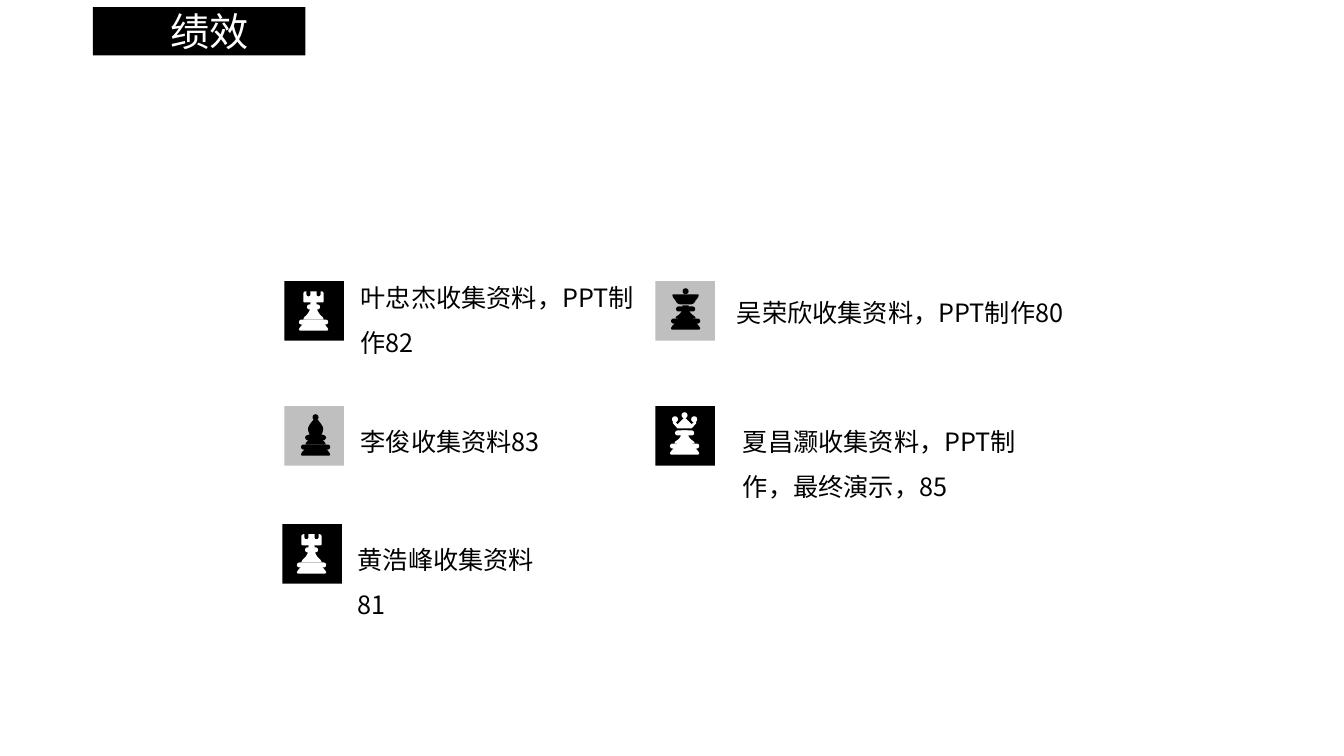
from lxml import etree
from pptx import Presentation, util as u
from pptx.dml.color import RGBColor
from pptx.enum import shapes, text
from pptx.oxml.ns import qn

FONT = "Noto Sans CJK SC"
BLACK, WHITE, GRAY = "000000", "FFFFFF", "BFBFBF"
TILE = 0.59

# Right halves of symmetric outlines, bottom to top, in hundredths of an inch
# from the piece's axis and the top of its foot. Three points make a curve.
BASE = [(0, 11), [(13, 11)], [(16, 11), (14, 8), (11, 5)], [(10, 3)],
        [(8, 2), (7, 1), (5, 1)], [(0, 1)]]
ROUND_BODY = [(0, 0), [(10, 0)], [(10, -4), (3, -4), (3, -15)],
              [(3, -19), (2, -21), (0, -21)]]
FLAT_BODY = [(0, 1), [(10, 0)], [(10, -4), (3, -2), (3, -13)], [(0, -13)]]
TOWER = [(0, -17), [(8, -17)], [(9, -17), (10, -17), (10, -18)], [(10, -26)],
         [(10, -27), (9, -28), (8, -28)], [(7, -28)], [(7, -25)],
         [(7, -25), (7, -23), (5, -23)], [(3, -23), (3, -25), (3, -25)],
         [(3, -28)], [(0, -28)]]
BELT = [(0, -7), [(7, -4)], [(8, -4), (9, -4), (10, -6)],
        [(11, -7), (10, -8), (9, -9)], [(1, -12)], [(0, -12)]]
MITRE = [(0, -8), [(4, -8), (7.5, -10), (7.5, -16)],
         [(7.5, -19), (0, -27), (0, -27)]]
CROWN = [(0, -15), [(7, -15)], [(11.5, -20)], [(11.5, -24)], [(7, -19)], [(0, -26)]]
BOWL = [(0, -14), [(5, -14)], [(7, -14), (8, -15), (9, -16)], [(10, -18)],
        [(13, -21), (14, -24), (12, -24)], [(0, -24)]]

# axis and foot within the tile; outlines; collar (width, top); balls (centre, top)
PIECES = {
    "rook": (0.29, 0.38, [BASE, ROUND_BODY, TOWER], (13, -15), []),
    "bishop": (0.31, 0.38, [BASE, ROUND_BODY, BELT, MITRE], None, [(0, -30)]),
    "queen": (0.29, 0.37, [BASE, FLAT_BODY, CROWN], (19, -13),
              [(0, -31), (-9.5, -27), (9.5, -27)]),
    "king": (0.30, 0.37, [BASE, FLAT_BODY, BOWL], (19, -12), [(0, -30)]),
}

# piece, dark tile, tile left and top, text left, top and width, text
MEMBERS = [
    ("rook", True, 2.82, 2.79, 3.48, 2.6, 2.97, "叶忠杰收集资料，PPT制作82"),
    ("bishop", False, 2.82, 4.03, 3.48, 4.03, 2.97, "李俊收集资料83"),
    ("queen", True, 6.5, 4.03, 7.27, 4.03, 2.97, "夏昌灏收集资料，PPT制作，最终演示，85"),
    ("king", False, 6.5, 2.79, 7.21, 2.75, 3.47, "吴荣欣收集资料，PPT制作80"),
    ("rook", True, 2.8, 5.2, 3.45, 5.2, 2.2, "黄浩峰收集资料81"),
]


def color(code):
    return RGBColor.from_string(code)


def paint(shape, fill):
    shape.shadow.inherit = False
    shape.fill.solid()
    shape.fill.fore_color.rgb = color(fill)
    shape.line.fill.background()


def add_filled(parent, kind, left, top, width, height, fill):
    shape = parent.add_shape(kind, *map(u.Inches, (left, top, width, height)))
    paint(shape, fill)
    return shape


def add_text(page, left, top, width, height, words, size, fill):
    box = page.shapes.add_textbox(*map(u.Inches, (left, top, width, height)))
    frame = box.text_frame
    frame.word_wrap = True
    frame.text = words
    para = frame.paragraphs[0]
    span = para.runs[0]
    span.font.size = u.Pt(size)
    span.font.name = FONT
    span.font.color.rgb = color(fill)
    etree.SubElement(span.font._element, qn("a:ea")).set("typeface", FONT)
    return para


def flatten(half, steps=8):
    """Turn a half outline with cubic curves into points."""
    points = [half[0]]
    for segment in half[1:]:
        if len(segment) == 1:
            points += segment
            continue
        controls = [points[-1], *segment]
        for step in range(1, steps + 1):
            t = step / steps
            weights = ((1 - t) ** 3, 3 * t * (1 - t) ** 2, 3 * t * t * (1 - t), t ** 3)
            points.append(tuple(sum(w * c[axis] for w, c in zip(weights, controls))
                                for axis in (0, 1)))
    return points


def add_outline(parent, axis, foot, half, fill):
    right = flatten(half)
    points = [(u.Inches(x / 100), u.Inches(y / 100))
              for x, y in right + [(-x, y) for x, y in reversed(right)]]
    builder = parent.build_freeform(*points[0], scale=1.0)
    builder.add_line_segments(points[1:], close=True)
    paint(builder.convert_to_shape(u.Inches(axis), u.Inches(foot)), fill)


def add_pill(parent, axis, top, width, fill):
    pill = add_filled(parent, shapes.MSO_SHAPE.ROUNDED_RECTANGLE,
                      axis - width / 2, top, width, 0.05, fill)
    pill.adjustments[0] = 0.5


def add_piece(page, left, top, name, dark):
    """Draw a chess piece on a square tile."""
    tile_fill, fill = (BLACK, WHITE) if dark else (GRAY, BLACK)
    axis, foot, outlines, collar, balls = PIECES[name]
    axis, foot = left + axis, top + foot
    parent = page.shapes.add_group_shape().shapes
    add_filled(parent, shapes.MSO_SHAPE.RECTANGLE, left, top, TILE, TILE, tile_fill)
    add_pill(parent, axis, foot, 0.29, fill)
    if collar:
        width, collar_top = collar
        add_pill(parent, axis, foot + collar_top / 100, width / 100, fill)
    for half in outlines:
        add_outline(parent, axis, foot, half, fill)
    for center, ball_top in balls:
        add_filled(parent, shapes.MSO_SHAPE.OVAL, axis + center / 100 - 0.03,
                   foot + ball_top / 100, 0.06, 0.06, fill)


def add_title(page, left, top, words):
    add_filled(page.shapes, shapes.MSO_SHAPE.RECTANGLE, left, top, 2.11, 0.48, BLACK)
    para = add_text(page, left - 0.51, top - 0.05, 2.16, 0.57, words, 28, WHITE)
    para.alignment = text.PP_ALIGN.RIGHT


def add_member(page, piece, dark, tile_left, tile_top, left, top, width, words):
    add_piece(page, tile_left, tile_top, piece, dark)
    add_text(page, left, top, width, 0.96, words, 18, BLACK).line_spacing = 1.5


def main():
    deck = Presentation()
    deck.slide_width, deck.slide_height = u.Inches(13.33), u.Inches(7.5)
    page = deck.slides.add_slide(deck.slide_layouts[6])
    add_title(page, 0.92, 0.07, "绩效")
    for member in MEMBERS:
        add_member(page, *member)
    deck.save("out.pptx")


if __name__ == "__main__":
    main()
